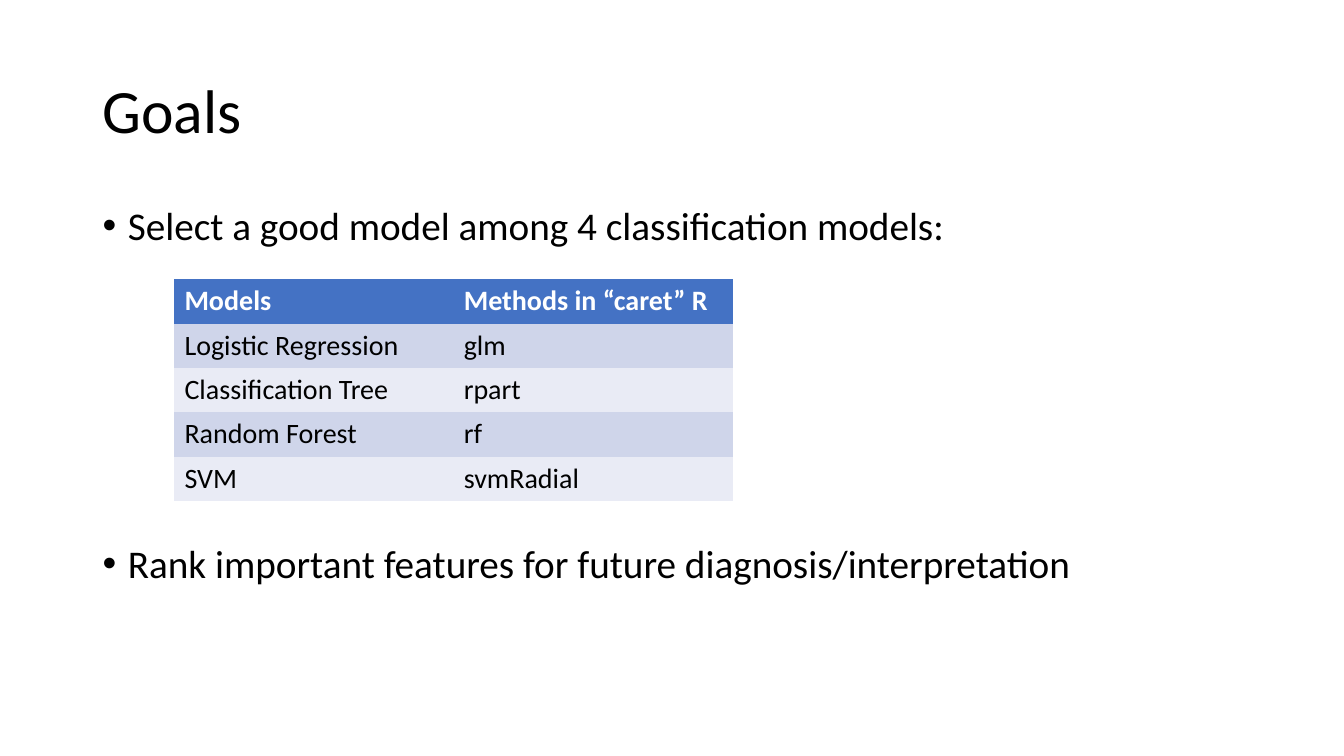
from dataclasses import dataclass

from lxml.etree import SubElement
from pptx import Presentation
from pptx.dml.color import RGBColor
from pptx.enum.text import MSO_ANCHOR as Anchor
from pptx.oxml.ns import qn
from pptx.util import Inches, Pt


@dataclass(frozen=True)
class Theme:
    """Font, colours and type sizes of the slide."""
    font: str = "Calibri"
    text: str = "000000"
    header_text: str = "FFFFFF"
    header_fill: str = "4472C4"
    band_fills: tuple = ("CFD5EA", "E9EBF5")
    title_size: int = 44
    body_size: int = 28
    table_size: int = 20


THEME = Theme()
NO_STYLE_NO_GRID = "{2D5ABB26-0587-4C30-8999-92F81FD0307C}"
MODELS = [
    ("Models", "Methods in “caret” R"),
    ("Logistic Regression", "glm"),
    ("Classification Tree", "rpart"),
    ("Random Forest", "rf"),
    ("SVM", "svmRadial"),
]
# Each goal with its space before in points; the second clears the table.
GOALS = [
    ("Select a good model among 4 classification models:", 10),
    ("Rank important features for future diagnosis/interpretation", 211),
]


def write_text(paragraph, text, *, size, color=THEME.text, bold=False,
               line_spacing=None, space_before=None):
    """Write one formatted run into a paragraph."""
    run = paragraph.add_run()
    run.text = text
    run.font.name = THEME.font
    run.font.size = Pt(size)
    run.font.bold = bold
    run.font.color.rgb = RGBColor.from_string(color)
    paragraph.line_spacing = line_spacing
    if space_before is not None:
        paragraph.space_before = Pt(space_before)


def add_text_frame(slide, top, height, anchor=Anchor.TOP):
    """Add a wrapping text box across the content width."""
    shape = slide.shapes.add_textbox(
        Inches(0.92), Inches(top), Inches(11.5), Inches(height))
    frame = shape.text_frame
    frame.word_wrap = True
    frame.vertical_anchor = anchor
    return frame


def add_bullet(paragraph, indent=0.25):
    """Give a paragraph a round bullet with a hanging indent."""
    properties = paragraph._p.get_or_add_pPr()
    properties.set("marL", str(Inches(indent)))
    properties.set("indent", str(-Inches(indent)))
    SubElement(properties, qn("a:buFont"), typeface="Arial")
    SubElement(properties, qn("a:buChar"), char="•")


def add_title(slide, text):
    """Add the slide title."""
    frame = add_text_frame(slide, 0.4, 1.45, Anchor.MIDDLE)
    write_text(frame.paragraphs[0], text, size=THEME.title_size, line_spacing=0.9)


def add_goals(slide, goals):
    """Add the bulleted goals."""
    frame = add_text_frame(slide, 2, 4.76)
    for index, (text, space_before) in enumerate(goals):
        paragraph = frame.add_paragraph() if index else frame.paragraphs[0]
        write_text(paragraph, text, size=THEME.body_size,
                   line_spacing=0.9, space_before=space_before)
        add_bullet(paragraph)


def add_model_table(slide, rows):
    """Add the table with a header row and alternating bands."""
    column_width, row_height = 2.77, 0.44
    table = slide.shapes.add_table(
        len(rows), len(rows[0]), Inches(1.73), Inches(2.77),
        Inches(column_width * len(rows[0])), Inches(row_height * len(rows))).table
    table._tbl.tblPr.find(qn("a:tableStyleId")).text = NO_STYLE_NO_GRID
    for row_index, values in enumerate(rows):
        is_header = row_index == 0
        fill = THEME.header_fill if is_header else THEME.band_fills[(row_index - 1) % 2]
        color = THEME.header_text if is_header else THEME.text
        for column_index, value in enumerate(values):
            cell = table.cell(row_index, column_index)
            cell.fill.solid()
            cell.fill.fore_color.rgb = RGBColor.from_string(fill)
            write_text(cell.text_frame.paragraphs[0], value,
                       size=THEME.table_size, color=color, bold=is_header)


def main():
    """Build and save the slide."""
    presentation = Presentation()
    presentation.slide_width = Inches(13.33)
    presentation.slide_height = Inches(7.5)
    slide = presentation.slides.add_slide(presentation.slide_layouts[6])
    add_title(slide, "Goals")
    add_goals(slide, GOALS)
    add_model_table(slide, MODELS)
    presentation.save("out.pptx")


main()
